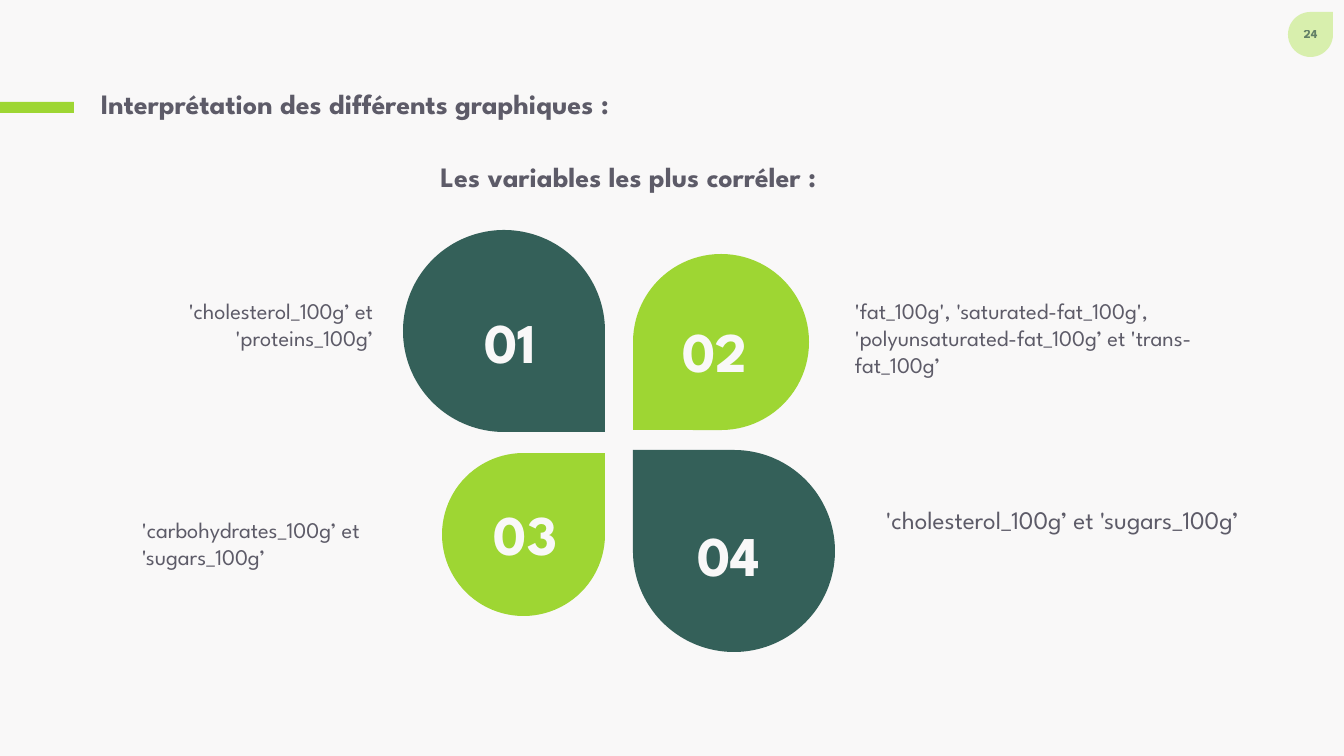
"""Build the slide on the most correlated variables."""
from dataclasses import dataclass

from lxml import etree
from pptx import Presentation
from pptx import util as u
from pptx.dml.color import RGBColor
from pptx.enum import shapes, text
from pptx.oxml import ns

LEFT, CENTER, RIGHT = text.PP_ALIGN.LEFT, text.PP_ALIGN.CENTER, text.PP_ALIGN.RIGHT


@dataclass(frozen=True)
class Theme:
    font: str = "League Spartan"
    paper: str = "F9F8F8"
    ink: str = "5D5B68"
    dark: str = "346059"
    lime: str = "9ED633"
    pale: str = "D8EFAD"
    page: str = "274843"
    page_alpha: int = 65
    page_size: int = 9
    body_size: int = 16
    large_size: int = 18
    title_size: int = 20
    number_size: int = 40


def px(n):
    return u.Emu(round(n * 914400 / 100.8))


class Deck:
    def __init__(self, prs, theme):
        self.theme = theme
        self.s = prs.slides.add_slide(prs.slide_layouts[5])
        fill = self.s.background.fill
        fill.solid()
        fill.fore_color.rgb = RGBColor.from_string(theme.paper)

    def run(self, p, words, size, color, bold=False, alpha=None):
        r = p.add_run()
        r.text = words
        r.font.name, r.font.size, r.font.bold = self.theme.font, u.Pt(size), bold
        r.font.color.rgb = RGBColor.from_string(color)
        if alpha is not None:
            clr = r.font._element.find(".//" + ns.qn("a:srgbClr"))
            etree.SubElement(clr, ns.qn("a:alpha"), val=str(alpha * 1000))

    def title(self, words, x, y, w, h):
        sp = self.s.shapes.title
        sp.left, sp.top, sp.width, sp.height = map(px, (x, y, w, h))
        tf = sp.text_frame
        tf.word_wrap, tf.auto_size = True, text.MSO_AUTO_SIZE.NONE
        tf.vertical_anchor = text.MSO_ANCHOR.MIDDLE
        p = tf.paragraphs[0]
        p.alignment, p.line_spacing = CENTER, 0.9
        self.run(p, words, self.theme.title_size, self.theme.ink, bold=True)

    def text(self, words, x, y, w, h, size, color, align=LEFT, **style):
        tf = self.s.shapes.add_textbox(*map(px, (x, y, w, h))).text_frame
        tf.word_wrap, tf.auto_size = True, text.MSO_AUTO_SIZE.SHAPE_TO_FIT_TEXT
        p = tf.paragraphs[0]
        p.alignment = align
        self.run(p, words, size, color, **style)

    def shape(self, kind, x, y, w, h, color, turn=0):
        sp = self.s.shapes.add_shape(kind, *map(px, (x, y, w, h)))
        sp.shadow.inherit = False
        sp.fill.solid()
        sp.fill.fore_color.rgb = RGBColor.from_string(color)
        sp.line.fill.background()
        sp.rotation = turn

    def petal(self, tip_x, tip_y, size, color, turn):
        x = tip_x - size if turn in (0, 90) else tip_x
        y = tip_y - size if turn in (90, 180) else tip_y
        self.shape(shapes.MSO_SHAPE.TEAR, x, y, size, size, color, turn)


def main():
    prs = Presentation()
    prs.slide_width, prs.slide_height = px(1344), px(756)
    t = Theme()
    d = Deck(prs, t)

    d.shape(shapes.MSO_SHAPE.TEAR, 1288, 12, 45, 45, t.pale)
    d.text("24", 1288, 21, 45, 27, t.page_size, t.page, CENTER,
           bold=True, alpha=t.page_alpha)
    d.shape(shapes.MSO_SHAPE.RECTANGLE, 0, 102, 74, 11, t.lime)
    d.text("Interprétation des différents graphiques :", 91, 82, 720, 44,
           t.title_size, t.ink, bold=True)
    d.title("Les variables les plus corréler :", 312, 138, 633, 81)

    petals = [
        ("01", (605, 432, 202, t.dark, 90), (458, 303)),
        ("02", (633, 430, 176, t.lime, 180), (669, 312)),
        ("03", (605, 453, 163, t.lime, 0), (479, 495)),
        ("04", (633, 450, 202, t.dark, 270), (682, 516)),
    ]
    for number, petal, corner in petals:
        d.petal(*petal)
        d.text(number, *corner, 88, 78, t.number_size, t.paper, RIGHT, bold=True)

    captions = [
        ("'cholesterol_100g’ et 'proteins_100g’",
         (85, 292, 298, 65), t.body_size, RIGHT),
        ("'fat_100g', 'saturated-fat_100g', 'polyunsaturated-fat_100g’ et 'trans-fat_100g’",
         (845, 292, 379, 92), t.body_size, LEFT),
        ("'carbohydrates_100g’ et 'sugars_100g’",
         (132, 511, 298, 65), t.body_size, LEFT),
        ("'cholesterol_100g’ et 'sugars_100g’",
         (876, 499, 389, 72), t.large_size, LEFT),
    ]
    for words, box, size, align in captions:
        d.text(words, *box, size, t.ink, align)

    prs.save("out.pptx")


if __name__ == "__main__":
    main()
